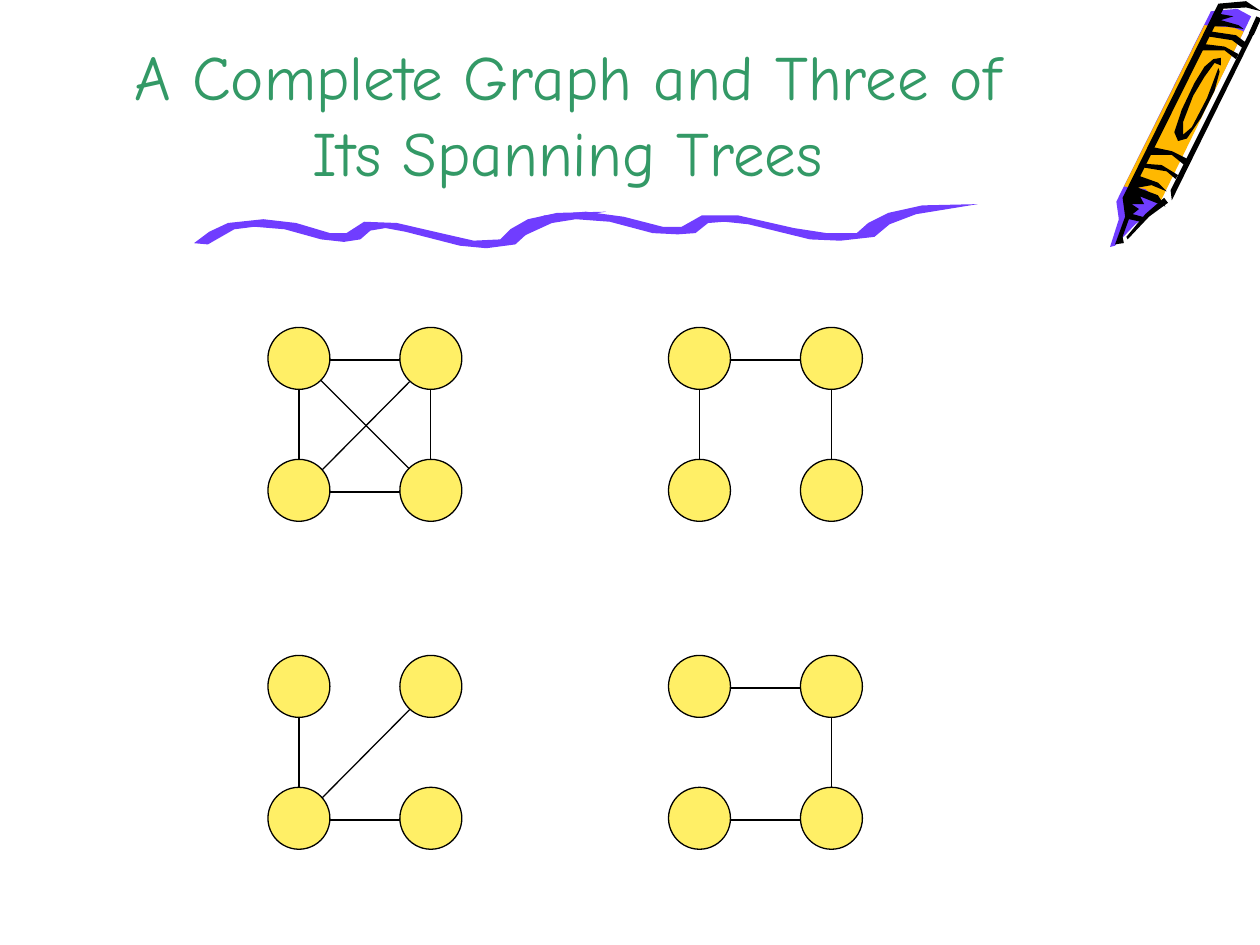
from pptx import Presentation
from pptx.dml.color import RGBColor
from pptx.enum.shapes import MSO_CONNECTOR as Connector, MSO_SHAPE as Shape
from pptx.enum.text import MSO_ANCHOR as Anchor, PP_ALIGN as Align
from pptx.oxml.ns import qn
from pptx.util import Pt
from lxml.etree import SubElement

BLACK = RGBColor(0x00, 0x00, 0x00)
PURPLE = RGBColor(0x70, 0x3D, 0xFF)
ORANGE = RGBColor(0xFF, 0xB8, 0x00)
GREEN = RGBColor(0x33, 0x99, 0x66)
YELLOW = RGBColor(0xFF, 0xEF, 0x66)

TITLE_FORMAT = {"name": "Comic Neue", "size": Pt(36)}
FRAME_FORMAT = {"word_wrap": True, "vertical_anchor": Anchor.BOTTOM}

# Outlines are drawn on a grid of 100 units to 72 points.
GRID_UNIT = Pt(0.72)
CRAYON_PARTS = [
    (PURPLE, [(993, 13), (917, 166), (901, 178), (885, 195), (881, 196), (888, 174),
              (886, 160), (961, 9), (982, 7)]),
    (ORANGE, [(921, 160), (909, 150), (892, 148), (956, 20), (979, 22), (987, 25)]),
    (BLACK, [(927, 161), (912, 172), (895, 190), (894, 188), (909, 170), (924, 157)]),
    (BLACK, [(987, 23), (973, 21), (961, 21), (968, 11), (979, 13), (969, 16), (983, 20)]),
    (BLACK, [(968, 57), (964, 72), (953, 94), (942, 110), (935, 112), (932, 105), (938, 87),
             (948, 66), (956, 53), (963, 47), (969, 46), (969, 52), (964, 50), (956, 61),
             (947, 76), (939, 97), (939, 107), (946, 101), (958, 78), (967, 54)]),
    (BLACK, [(997, 23), (930, 159), (929, 151), (993, 23)]),
    (BLACK, [(925, 164), (919, 155), (903, 149), (914, 147), (926, 152), (919, 145),
             (905, 140), (971, 7), (989, 6), (1001, 9), (989, 1), (967, 3), (891, 157),
             (893, 172), (885, 194), (892, 193), (891, 188), (896, 174), (905, 176),
             (910, 173), (899, 170), (904, 166), (898, 162), (908, 162), (905, 156)]),
    (BLACK, [(933, 142), (926, 136), (908, 133), (909, 130), (922, 131), (935, 139)]),
    (BLACK, [(940, 131), (930, 123), (913, 123), (916, 117), (930, 120), (942, 126)]),
    (BLACK, [(981, 47), (972, 40), (953, 40), (956, 35), (972, 37), (983, 43)]),
    (BLACK, [(986, 38), (978, 32), (959, 29), (961, 25), (981, 28), (989, 34)]),
]
SQUIGGLES = [
    [(165, 194), (186, 182), (202, 180), (226, 182), (255, 190), (273, 192), (286, 190),
     (294, 183), (306, 181), (322, 184), (365, 195), (386, 197), (409, 194), (420, 184),
     (438, 175), (481, 168), (442, 169), (419, 174), (405, 182), (397, 190), (376, 191),
     (354, 186), (315, 177), (289, 176), (275, 185), (262, 185), (235, 177), (209, 174),
     (181, 177), (166, 184), (154, 193)],
    [(414, 188), (438, 177), (457, 174), (484, 176), (518, 185), (538, 186), (552, 185),
     (562, 177), (575, 176), (594, 178), (643, 190), (667, 191), (694, 188), (706, 178),
     (727, 170), (776, 162), (732, 163), (705, 169), (689, 177), (680, 185), (656, 185),
     (630, 181), (586, 171), (557, 171), (541, 180), (526, 180), (495, 172), (465, 168),
     (432, 171), (415, 178), (401, 188)],
]

NODE_SIZE, NODE_STEP = 35.4, 75.4
MIDDLE = NODE_SIZE / 2
# Ends of each edge, in points from the top left of its graph.
EDGES = {
    "top": (NODE_SIZE, MIDDLE + 1, NODE_STEP, MIDDLE + 1),
    "bottom": (NODE_SIZE, NODE_STEP + MIDDLE + 1, NODE_STEP, NODE_STEP + MIDDLE + 1),
    "left": (MIDDLE, NODE_STEP, MIDDLE, NODE_SIZE),
    "right": (NODE_STEP + MIDDLE, NODE_STEP, NODE_STEP + MIDDLE, NODE_SIZE),
    "falling": (30, 30, 80.5, 80.5),
    "rising": (31, 81.4, 81, 31),
}
GRAPH_LEFTS, GRAPH_TOPS = (153.1, 382), (187.1, 374.5)
GRAPHS = [
    (0, 0, EDGES),
    (1, 0, ["top", "left", "right"]),
    (0, 1, ["bottom", "left", "rising"]),
    (1, 1, ["top", "bottom", "right"]),
]


def assign(target, values):
    for name, value in values.items():
        setattr(target, name, value)


class Painter:
    def __init__(self, page, line_width=0.75):
        self.page = page
        self.line_width = line_width

    def outline(self, points, color):
        builder = self.page.shapes.build_freeform(*points[0], scale=GRID_UNIT)
        builder.add_line_segments(points[1:], close=True)
        shape = builder.convert_to_shape()
        shape.shadow.inherit = False
        shape.fill.solid()
        shape.fill.fore_color.rgb = color
        shape.line.fill.background()

    def line(self, x1, y1, x2, y2, width=None):
        line = self.page.shapes.add_connector(
            Connector.STRAIGHT, Pt(x1), Pt(y1), Pt(x2), Pt(y2))
        line.line.color.rgb = BLACK
        line.line.width = Pt(width or self.line_width)
        SubElement(line._element.spPr, qn("a:effectLst"))

    def node(self, left, top):
        node = self.page.shapes.add_shape(
            Shape.OVAL, Pt(left), Pt(top), Pt(NODE_SIZE), Pt(NODE_SIZE))
        node.shadow.inherit = False
        node.fill.solid()
        node.fill.fore_color.rgb = YELLOW
        node.line.color.rgb = BLACK
        node.line.width = Pt(self.line_width)

    def graph(self, left, top, edges):
        """Draw four nodes in a square, joined by the named edges."""
        for row in range(2):
            for column in range(2):
                self.node(left + column * NODE_STEP, top + row * NODE_STEP)
        for name in edges:
            x1, y1, x2, y2 = EDGES[name]
            self.line(left + x1, top + y1, left + x2, top + y2)

    def title(self, text, left, top, width, height):
        box = self.page.shapes.add_textbox(Pt(left), Pt(top), Pt(width), Pt(height))
        assign(box.text_frame, FRAME_FORMAT)
        para = box.text_frame.paragraphs[0]
        para.alignment = Align.CENTER
        span = para.add_run()
        span.text = text
        assign(span.font, TITLE_FORMAT)
        span.font.color.rgb = GREEN


def main():
    deck = Presentation()
    deck.slide_width, deck.slide_height = Pt(720), Pt(540)
    painter = Painter(deck.slides.add_slide(deck.slide_layouts[6]))
    for color, points in CRAYON_PARTS:
        painter.outline(points, color)
    painter.line(719.3, 10, 715, 19.5, width=3)
    for points in SQUIGGLES:
        painter.outline(points, PURPLE)
    painter.title("A Complete Graph and Three of Its Spanning Trees", 54, 0, 540.7, 111.6)
    for column, row, edges in GRAPHS:
        painter.graph(GRAPH_LEFTS[column], GRAPH_TOPS[row], edges)
    deck.save("out.pptx")


if __name__ == "__main__":
    main()
